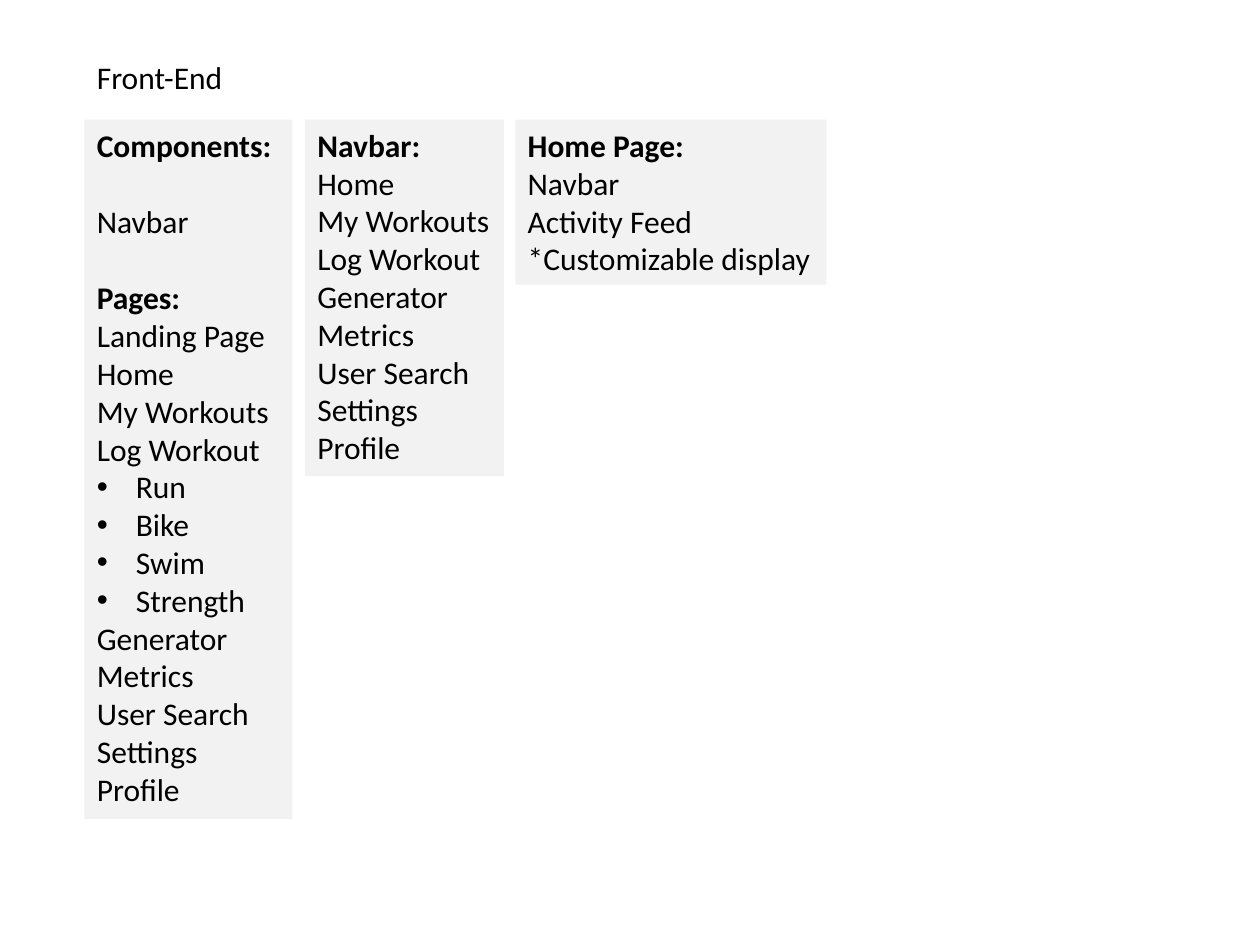
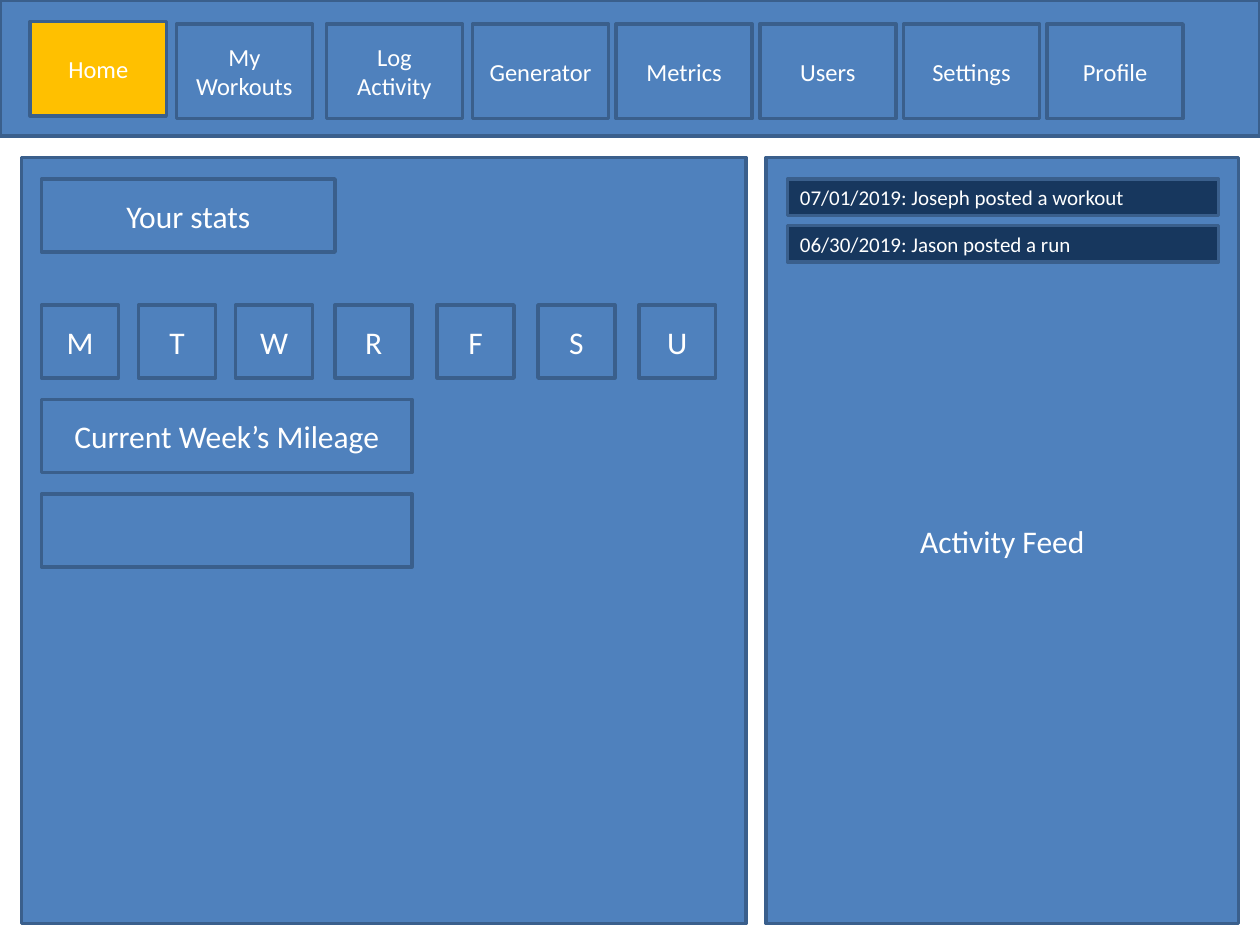
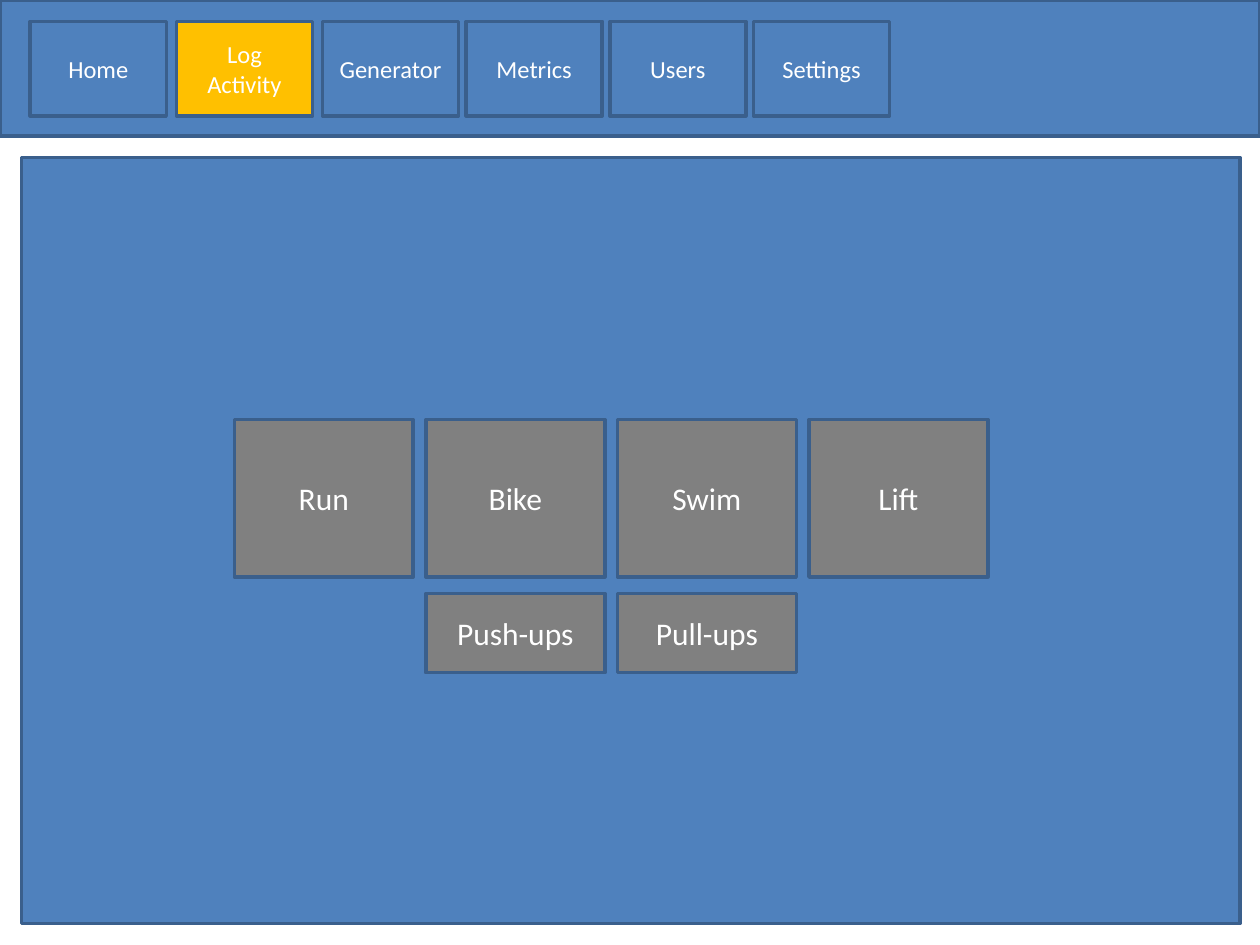
from dataclasses import dataclass
from lxml.etree import SubElement
from pptx import Presentation
from pptx.dml.color import RGBColor
from pptx.enum.shapes import MSO_SHAPE as Shape
from pptx.enum.text import MSO_ANCHOR as Anchor, MSO_AUTO_SIZE as AutoSize, PP_ALIGN as Align
from pptx.oxml.ns import qn
from pptx.util import Inches, Pt


@dataclass(frozen=True)
class Theme:
    font: str = "Calibri"
    black: RGBColor = RGBColor(0x00, 0x00, 0x00)
    white: RGBColor = RGBColor(0xFF, 0xFF, 0xFF)
    pale: RGBColor = RGBColor(0xF2, 0xF2, 0xF2)
    blue: RGBColor = RGBColor(0x4F, 0x81, 0xBD)
    outline: RGBColor = RGBColor(0x3A, 0x5F, 0x8C)
    navy: RGBColor = RGBColor(0x17, 0x37, 0x5E)
    active: RGBColor = RGBColor(0xFF, 0xC0, 0x00)
    grey: RGBColor = RGBColor(0x80, 0x80, 0x80)
    body: Pt = Pt(18)
    nav: Pt = Pt(14)
    feed: Pt = Pt(12)
    line: Pt = Pt(2)
    blank_line: Pt = Pt(22)


theme = Theme()


def add_box(slide, left, top, width, height, text="", fill=theme.blue,
            size=theme.body, align=Align.CENTER):
    """Outlined wireframe box with white, vertically centred text."""
    box = slide.shapes.add_shape(
        Shape.RECTANGLE, Inches(left), Inches(top), Inches(width), Inches(height))
    box.shadow.inherit = False
    box.fill.solid()
    box.fill.fore_color.rgb = fill
    box.line.color.rgb = theme.outline
    box.line.width = theme.line
    if text:
        box.text_frame.vertical_anchor = Anchor.MIDDLE
        label = box.text_frame.paragraphs[0]
        label.text = text
        label.alignment = align
        label.font.name = theme.font
        label.font.size = size
        label.font.color.rgb = theme.white


def add_list(slide, left, top, width, height, lines, fill=None, bulleted=(), spaced=()):
    """Plain text list; lines ending in a colon are bold headings."""
    panel = slide.shapes.add_textbox(
        Inches(left), Inches(top), Inches(width), Inches(height))
    if fill is not None:
        panel.fill.solid()
        panel.fill.fore_color.rgb = fill
    frame = panel.text_frame
    frame.word_wrap = False
    frame.auto_size = AutoSize.SHAPE_TO_FIT_TEXT
    for i, line in enumerate(lines):
        entry = frame.paragraphs[0] if i == 0 else frame.add_paragraph()
        entry.text = line
        entry.font.name = theme.font
        entry.font.size = theme.body
        entry.font.color.rgb = theme.black
        entry.font.bold = line.strip().endswith(":")
        if line in spaced:
            entry.space_before = theme.blank_line
        if line in bulleted:
            properties = entry._p.get_or_add_pPr()
            properties.set("marL", str(Inches(0.31)))
            properties.set("indent", str(-Inches(0.31)))
            bullet_font = SubElement(properties, qn("a:buFont"))
            bullet_font.set("typeface", "Arial")
            SubElement(properties, qn("a:buChar")).set("char", "•")


prs = Presentation()
prs.slide_width = Inches(10)
prs.slide_height = Inches(7.5)
outline_slide, home_slide, log_slide = [
    prs.slides.add_slide(prs.slide_layouts[6]) for _ in range(3)]

# Slide 1: front-end outline
activities = ["Run", "Bike", "Swim", "Strength"]
closing_pages = ["Generator", "Metrics", "User Search", "Settings", "Profile"]
main_pages = ["Home", "My Workouts", "Log Workout"]

add_list(outline_slide, 0.67, 0.41, 1.22, 0.4, ["Front-End"])
add_list(outline_slide, 0.67, 0.95, 1.65, 5.55,
         ["Components: ", "Navbar", "Pages: ", "Landing Page",
          *main_pages, *activities, *closing_pages],
         theme.pale, bulleted=activities, spaced=("Navbar", "Pages: "))
add_list(outline_slide, 2.42, 0.95, 1.58, 2.83,
         ["Navbar:", *main_pages, *closing_pages], theme.pale)
add_list(outline_slide, 4.09, 0.95, 2.47, 1.31,
         ["Home Page:", "Navbar", "Activity Feed", "*Customizable display"], theme.pale)

# Slides 2 and 3: navigation bar, evenly spaced from Generator onwards
nav_pitch = 1.14
home_nav = [("Home", 0.24), ("My Workouts", 1.4), ("Log Activity", 2.59)]
home_nav += [(page, 3.75 + i * nav_pitch) for i, page in enumerate(
    ["Generator", "Metrics", "Users", "Settings", "Profile"])]
log_nav = [("Home", 0.24), ("Log Activity", 1.4)]
log_nav += [(page, 2.56 + i * nav_pitch) for i, page in enumerate(
    ["Generator", "Metrics", "Users", "Settings"])]

for slide, buttons, current, button_top in [
        (home_slide, home_nav, "Home", 0.19), (log_slide, log_nav, "Log Activity", 0.17)]:
    add_box(slide, 0, 0, 10, 1.08)
    for page, left in buttons:
        is_current = page == current
        add_box(slide, left, 0.17 if is_current else button_top, 1.08, 0.75, page,
                theme.active if is_current else theme.blue, theme.nav)

# Slide 2: stats panel
add_box(home_slide, 0.17, 1.25, 5.75, 6.08)
add_box(home_slide, 0.33, 1.42, 2.33, 0.58, "Your stats")
for day, left in zip("MTWRFSU", [0.33, 1.1, 1.87, 2.66, 3.47, 4.27, 5.07]):
    add_box(home_slide, left, 2.42, 0.61, 0.58, day)
add_box(home_slide, 0.33, 3.17, 2.94, 0.58, "Current Week’s Mileage")
add_box(home_slide, 0.33, 3.92, 2.94, 0.58)

# Slide 2: activity feed
add_box(home_slide, 6.08, 1.25, 3.75, 6.08, "Activity Feed")
for i, post in enumerate(["07/01/2019: Joseph posted a workout",
                          "06/30/2019: Jason posted a run"]):
    add_box(home_slide, 6.25, 1.42 + i * 0.37, 3.42, 0.29, post,
            theme.navy, theme.feed, Align.LEFT)

# Slide 3: activity choices
add_box(log_slide, 0.17, 1.25, 9.67, 6.08)
choice_left, choice_pitch = 1.86, 1.52
for row, top, height, first_column in [
        (["Run", "Bike", "Swim", "Lift"], 3.33, 1.25, 0),
        (["Push-ups", "Pull-ups"], 4.71, 0.63, 1)]:
    for column, choice in enumerate(row, first_column):
        add_box(log_slide, choice_left + column * choice_pitch, top, 1.42, height,
                choice, theme.grey)

prs.save("out.pptx")
